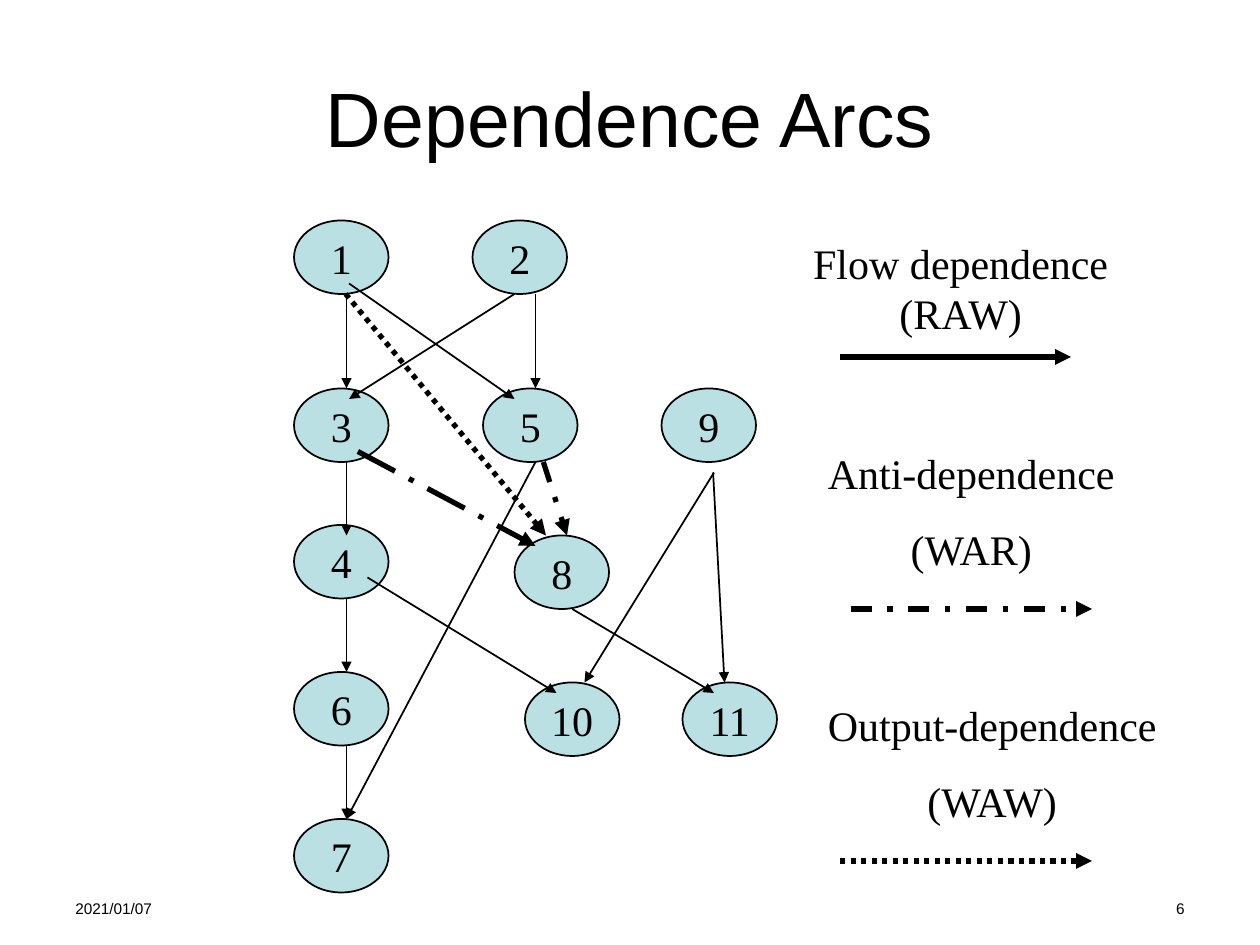
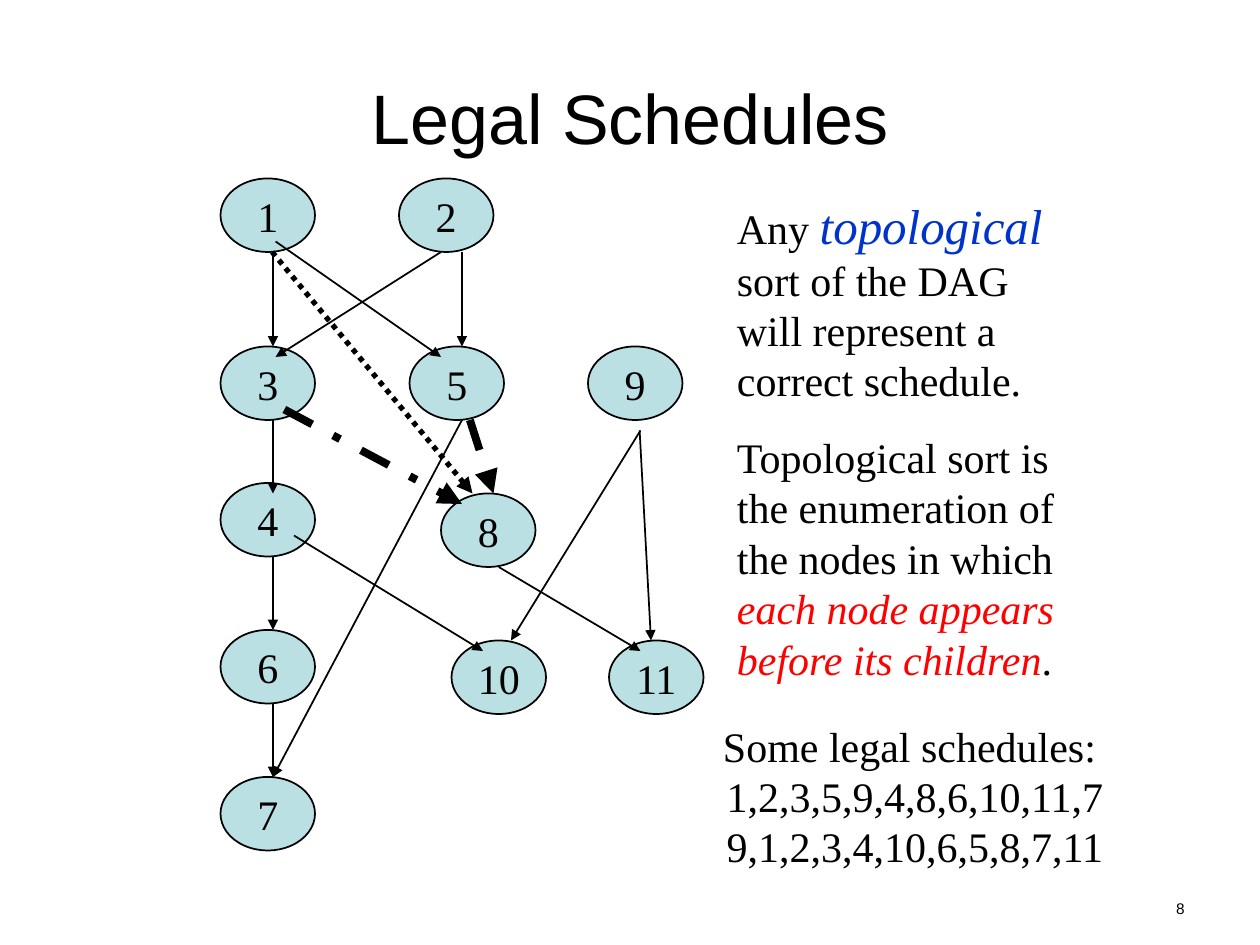
from dataclasses import dataclass
from lxml.etree import SubElement
from pptx import Presentation
from pptx.dml.color import RGBColor as RGB
from pptx.enum.dml import MSO_LINE as Dash
from pptx.enum.shapes import MSO_CONNECTOR as Link, MSO_SHAPE as Shape
from pptx.enum.text import MSO_ANCHOR as Anchor, PP_ALIGN as Align
from pptx.oxml.ns import qn
from pptx.util import Pt


@dataclass(frozen=True)
class Theme:
    ink: RGB = RGB(0, 0, 0)
    node: RGB = RGB(0xBB, 0xE0, 0xE3)
    blue: RGB = RGB(0x00, 0x33, 0xCC)
    red: RGB = RGB(0xFF, 0, 0)
    sans: str = "Arial"
    serif: str = "Times New Roman"
    body: float = 24
    big: float = 28
    foot: float = 8.8
    thin: float = 1
    bold: float = 3
    heavy: float = 4.5


THEME = Theme()
WIDE, HIGH = 54, 42

NODES = {
    "1": (0, 0), "2": (102, 0),
    "3": (0, 96), "5": (108, 96), "9": (210, 96),
    "4": (0, 174), "8": (126, 180),
    "6": (0, 258), "10": (132, 264), "11": (222, 264),
    "7": (0, 342),
}

ARCS = [
    ("flow", (30, 42), (30, 96)),
    ("flow", (126, 42), (31.5, 102)),
    ("flow", (31.5, 36), (126, 102)),
    ("flow", (138, 42), (138, 96)),
    ("flow", (30, 138), (30, 180)),
    ("flow", (30, 216), (30, 258)),
    ("flow", (30, 300), (30, 342)),
    ("flow", (138, 138), (30, 342)),
    ("near", (142.5, 138), (156, 180)),
    ("far", (36.5, 132), (138, 186)),
    ("flow", (42, 204), (150, 270)),
    ("flow", (240, 144), (166, 264)),
    ("flow", (159, 222), (240, 270)),
    ("flow", (239.5, 144), (246, 264)),
    ("out", (29.5, 42), (144, 180)),
]

BASE = {"flow": (THEME.thin, Dash.SOLID), "out": (THEME.bold, Dash.ROUND_DOT)}
LIGHT = BASE | {"near": (THEME.bold, Dash.DASH_DOT), "far": (THEME.bold, Dash.LONG_DASH_DOT)}
DARK = BASE | dict.fromkeys(("near", "far"), (THEME.heavy, Dash.DASH_DOT))

LEGEND = [
    (["Flow dependence (RAW)"], (444, 132, 210, 109), (480, 612, 204), Dash.SOLID),
    (["Anti-dependence", "(WAR)"], (450, 252, 210, 124), (486, 624, 348), Dash.DASH_DOT),
    (["Output-dependence", "(WAW)"], (462, 396, 210, 124), (480, 624, 492), Dash.ROUND_DOT),
]

TOPO = [
    [("Any ", {}),
     ("topological", {"size": THEME.big, "color": THEME.blue, "italic": True}),
     (" sort of the DAG will represent a correct schedule.", {})],
    [("Topological sort is the enumeration of the nodes in which ", {}),
     ("each node appears before its children", {"color": THEME.red, "italic": True}),
     (".", {})],
]

ORDERS = ["Some legal schedules: ", "1,2,3,5,9,4,8,6,10,11,7", "9,1,2,3,4,10,6,5,8,7,11"]


def style(font, size=None, color=None, name=None, italic=None):
    if size:
        font.size = Pt(size)
    if color is not None:
        font.color.rgb = color
    if name:
        font.name = name
    if italic is not None:
        font.italic = italic


def write(frame, paras, size=THEME.body, name=THEME.serif, align=Align.CENTER, gap=0, wrap=True):
    frame.word_wrap = wrap
    for i, runs in enumerate(paras):
        para = frame.paragraphs[0] if i == 0 else frame.add_paragraph()
        para.alignment = align
        para.space_before = Pt(gap)
        style(para.font, size, THEME.ink, name)
        for text, look in [(runs, {})] if isinstance(runs, str) else runs:
            run = para.add_run()
            run.text = text
            style(run.font, **look)


def label(slide, paras, box, **opts):
    write(slide.shapes.add_textbox(*map(Pt, box)).text_frame, paras, **opts)


def arrow(slide, start, end, width, dash):
    line = slide.shapes.add_connector(Link.STRAIGHT, *map(Pt, start + end))
    line.line.color.rgb = THEME.ink
    line.line.width = Pt(width)
    line.line.dash_style = dash
    props = line._element.spPr
    SubElement(props.find(qn("a:ln")), qn("a:tailEnd"), type="triangle")
    SubElement(props, qn("a:effectLst"))


def graph(slide, left, top, looks):
    for name, (x, y) in NODES.items():
        node = slide.shapes.add_shape(Shape.OVAL, Pt(left + x), Pt(top + y), Pt(WIDE), Pt(HIGH))
        node.shadow.inherit = False
        node.fill.solid()
        node.fill.fore_color.rgb = THEME.node
        node.line.color.rgb = THEME.ink
        node.line.width = Pt(THEME.thin)
        node.text_frame.vertical_anchor = Anchor.MIDDLE
        write(node.text_frame, [name], wrap=False)
    for kind, (x1, y1), (x2, y2) in ARCS:
        arrow(slide, (left + x1, top + y1), (left + x2, top + y2), *looks[kind])


def start(deck, title, size, page, date=None):
    slide = deck.slides.add_slide(deck.slide_layouts[5])
    head = slide.shapes.title
    head.left, head.top, head.width, head.height = map(Pt, (36, 21.6, 648, 90))
    head.text_frame.vertical_anchor = Anchor.MIDDLE
    write(head.text_frame, [title], size=size, name=THEME.sans)
    for text, x, align in ((date, 36, Align.LEFT), (page, 516, Align.RIGHT)):
        if text:
            label(slide, [text], (x, 510, 168, 19.5), size=THEME.foot, name=THEME.sans, align=align)
    return slide


def main():
    deck = Presentation()
    deck.slide_width, deck.slide_height = Pt(720), Pt(540)

    arcs = start(deck, "Dependence Arcs", 44, "6", "2021/01/07")
    graph(arcs, 168, 126, LIGHT)
    for paras, box, (x1, x2, y), dash in LEGEND:
        label(arcs, paras, box, gap=15)
        arrow(arcs, (x1, y), (x2, y), THEME.bold, dash)

    legal = start(deck, "Legal Schedules", 40, "8")
    graph(legal, 126, 102, DARK)
    label(legal, TOPO, (414, 108, 198, 286.5), align=Align.LEFT, gap=15)
    label(legal, ORDERS, (406, 408, 233.5, 93.5), wrap=False)

    deck.save("out.pptx")


if __name__ == "__main__":
    main()
